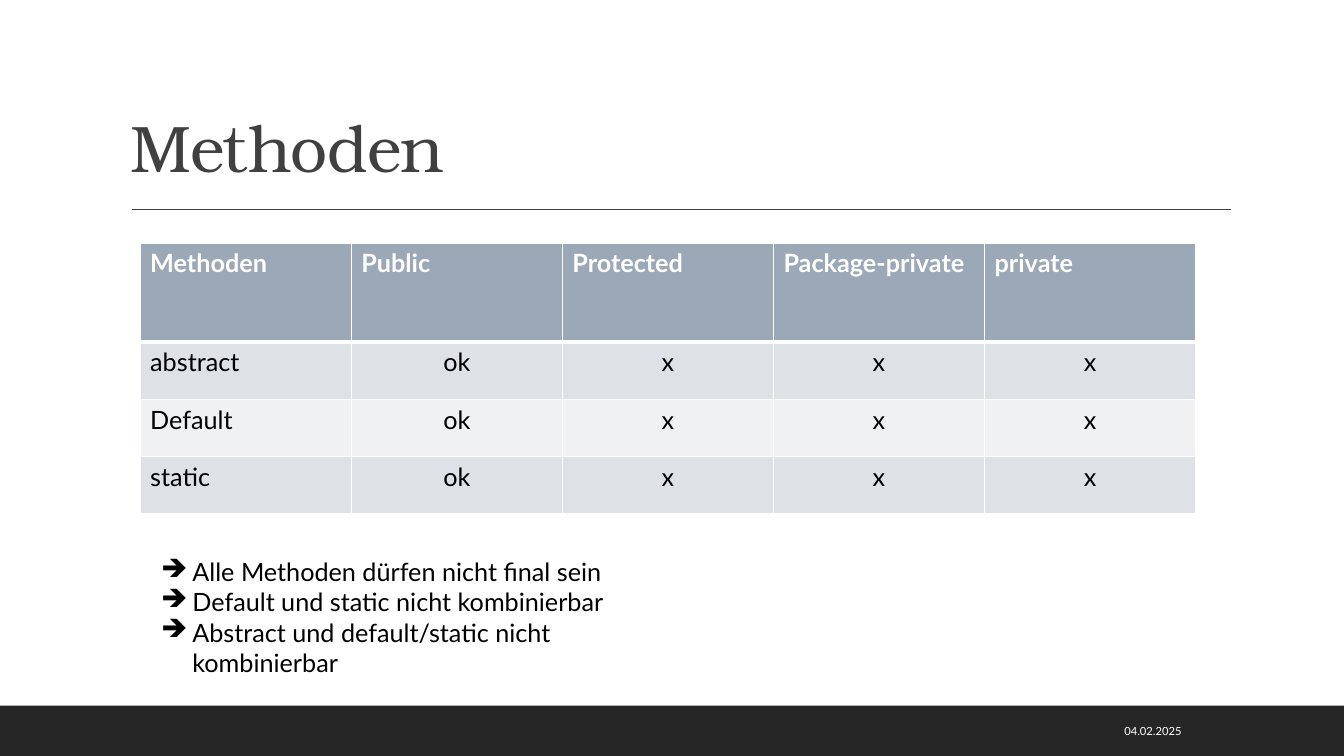
from dataclasses import dataclass

from lxml import etree
from pptx import Presentation
from pptx.dml.color import RGBColor
from pptx.enum.shapes import MSO_CONNECTOR, MSO_SHAPE
from pptx.enum.text import MSO_ANCHOR, PP_ALIGN
from pptx.oxml.ns import qn
from pptx.util import Inches, Pt

STRAIGHT = MSO_CONNECTOR.STRAIGHT
RECTANGLE = MSO_SHAPE.RECTANGLE
TOP, MIDDLE, BOTTOM = MSO_ANCHOR.TOP, MSO_ANCHOR.MIDDLE, MSO_ANCHOR.BOTTOM
LEFT, CENTER, RIGHT = PP_ALIGN.LEFT, PP_ALIGN.CENTER, PP_ALIGN.RIGHT


@dataclass(frozen=True)
class Theme:
    title_font: str = "TeX Gyre Bonum"
    body_font: str = "Lato"
    title_size: float = 47
    body_size: float = 18
    date_size: float = 8
    white: str = "FFFFFF"
    black: str = "000000"
    title: str = "404040"
    footer: str = "262626"
    header: str = "9BA8B7"
    bands: tuple = ("DEE1E6", "EFF1F3")


@dataclass(frozen=True)
class Box:
    left: float
    top: float
    width: float
    height: float

    def lengths(self):
        return [Inches(side) for side in (self.left, self.top, self.width, self.height)]


THEME = Theme()
HEADINGS = ["Methoden", "Public", "Protected", "Package-private", "private"]
ROWS = [[name, "ok", "x", "x", "x"] for name in ("abstract", "Default", "static")]
NOTES = [
    "Alle Methoden dürfen nicht final sein",
    "Default und static nicht kombinierbar",
    "Abstract und default/static nicht kombinierbar",
]


def add_span(para, text, size, color, font=THEME.body_font, bold=False):
    span = para.add_run()
    span.text = text
    span.font.name = font
    span.font.size = Pt(size)
    span.font.bold = bold
    span.font.color.rgb = RGBColor.from_string(color)
    return span


def add_text_frame(page, box, anchor):
    frame = page.shapes.add_textbox(*box.lengths()).text_frame
    frame.word_wrap = True
    frame.vertical_anchor = anchor
    return frame


def add_title(page, box, text):
    para = add_text_frame(page, box, BOTTOM).paragraphs[0]
    para.line_spacing = 0.9
    span = add_span(para, text, THEME.title_size, THEME.title, THEME.title_font)
    span.font._element.set("spc", "-50")

    rule_left, rule_top = box.left + 0.11, box.top + box.height + 0.18
    rule = page.shapes.add_connector(
        STRAIGHT, Inches(rule_left), Inches(rule_top), Inches(rule_left + 10.9), Inches(rule_top)
    )
    rule.line.color.rgb = RGBColor.from_string(THEME.title)
    rule.line.width = Pt(1)
    etree.SubElement(rule._element.spPr, qn("a:effectLst"))


def add_footer(page, box, date):
    band = page.shapes.add_shape(RECTANGLE, *box.lengths())
    band.shadow.inherit = False
    band.fill.solid()
    band.fill.fore_color.rgb = RGBColor.from_string(THEME.footer)
    band.line.fill.background()

    date_box = Box(box.left + 8.99, box.top + 0.05, 2.83, 0.4)
    para = add_text_frame(page, date_box, MIDDLE).paragraphs[0]
    para.alignment = RIGHT
    add_span(para, date, THEME.date_size, THEME.white)


def add_borders(cell, bottom_width, top_width):
    properties = cell._tc.get_or_add_tcPr()
    widths = {"lnL": 1, "lnR": 1, "lnT": top_width, "lnB": bottom_width}
    for side, width in widths.items():
        border = etree.SubElement(properties, qn(f"a:{side}"), w=str(Pt(width)))
        fill = etree.SubElement(border, qn("a:solidFill"))
        etree.SubElement(fill, qn("a:srgbClr"), val=THEME.white)


def add_method_table(page, box, header_height):
    rows = [HEADINGS] + ROWS
    table = page.shapes.add_table(len(rows), len(HEADINGS), *box.lengths()).table
    for column in table.columns:
        column.width = Inches(box.width / len(HEADINGS))
    row_height = (box.height - header_height) / len(ROWS)

    for row_index, values in enumerate(rows):
        is_header = row_index == 0
        table.rows[row_index].height = Inches(header_height if is_header else row_height)
        fill = THEME.header if is_header else THEME.bands[(row_index - 1) % 2]
        color = THEME.white if is_header else THEME.black
        for column_index, value in enumerate(values):
            cell = table.cell(row_index, column_index)
            add_borders(cell, 3 if is_header else 1, 3 if row_index == 1 else 1)
            cell.fill.solid()
            cell.fill.fore_color.rgb = RGBColor.from_string(fill)
            para = cell.text_frame.paragraphs[0]
            para.alignment = LEFT if is_header or column_index == 0 else CENTER
            add_span(para, value, THEME.body_size, color, bold=is_header)


def add_notes_list(page, box, notes):
    frame = add_text_frame(page, box, TOP)
    indent = Inches(0.31)
    for index, note in enumerate(notes):
        para = frame.add_paragraph() if index else frame.paragraphs[0]
        properties = para._p.get_or_add_pPr()
        properties.set("marL", str(indent))
        properties.set("indent", str(-indent))
        etree.SubElement(properties, qn("a:buChar"), char="➔")
        add_span(para, note, THEME.body_size, THEME.black)


def build_methods_page(deck):
    page = deck.slides.add_slide(deck.slide_layouts[6])
    add_footer(page, Box(0, 7, 13.33, 0.5), "04.02.2025")
    add_title(page, Box(1.2, 0.31, 11, 1.59), "Methoden")
    add_method_table(page, Box(1.39, 2.41, 10.47, 2.69), 0.98)
    add_notes_list(page, Box(1.5, 5.47, 5.43, 1.01), NOTES)


def main():
    deck = Presentation()
    deck.slide_width, deck.slide_height = Inches(13.33), Inches(7.5)
    build_methods_page(deck)
    deck.save("out.pptx")


if __name__ == "__main__":
    main()
